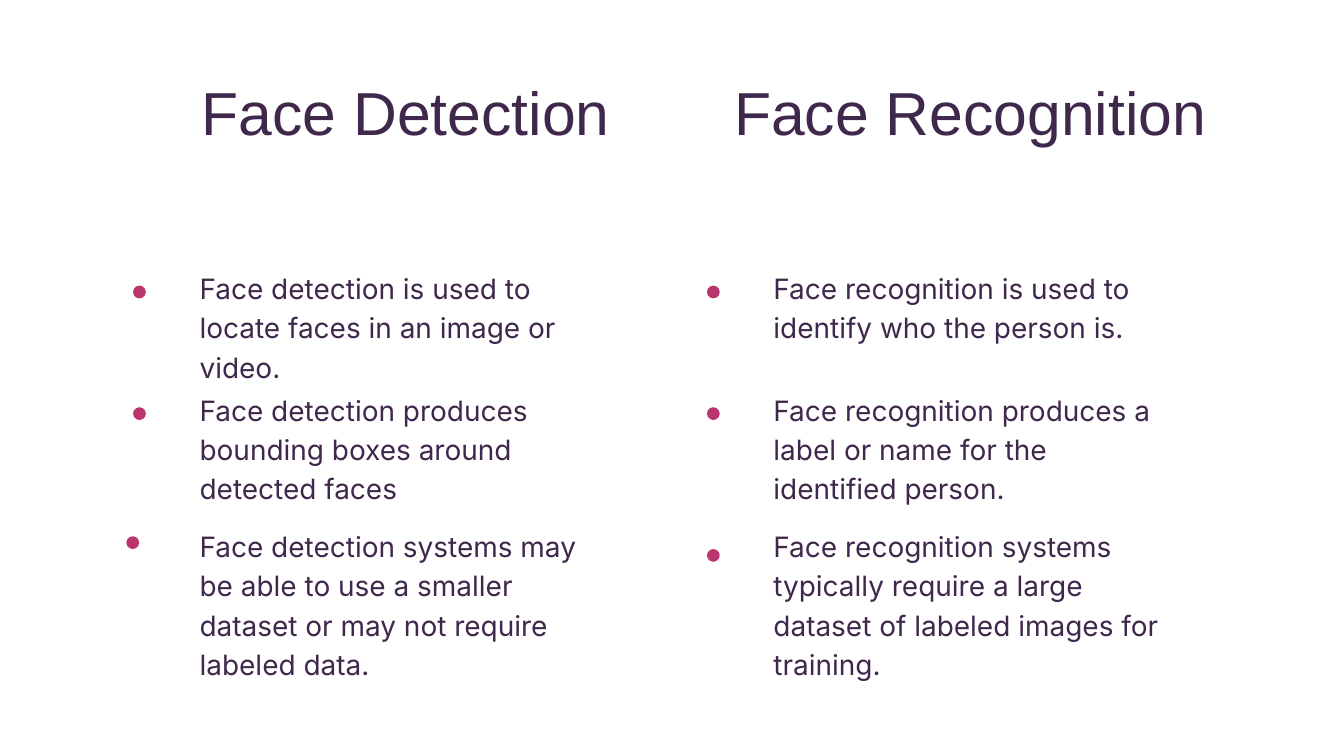
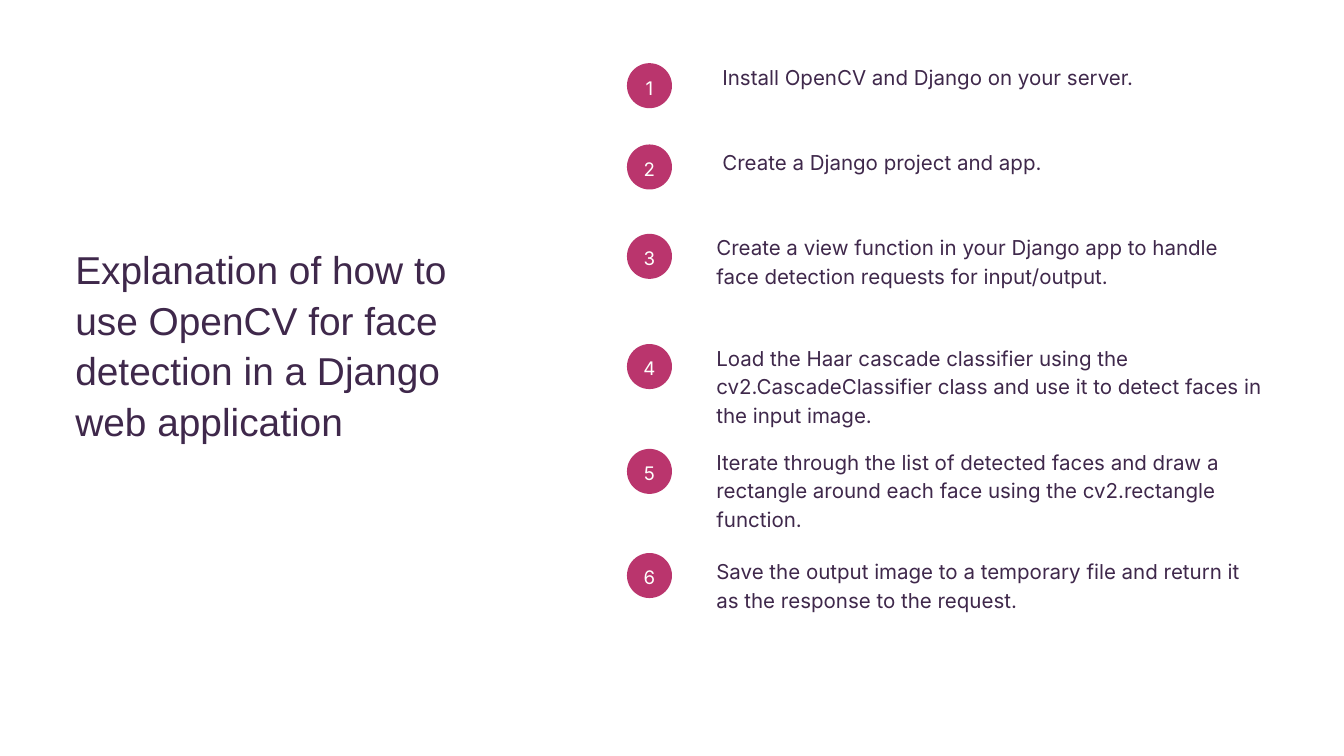
from dataclasses import dataclass

import pptx
import pptx.dml.color
import pptx.enum.shapes
import pptx.enum.text
import pptx.shapes.autoshape
import pptx.slide
import pptx.util

Inches = pptx.util.Inches
Align = pptx.enum.text.PP_ALIGN
Anchor = pptx.enum.text.MSO_ANCHOR
AutoSize = pptx.enum.text.MSO_AUTO_SIZE
Color = pptx.dml.color.RGBColor


@dataclass(frozen=True)
class TextStyle:
    font: str
    size: float
    leading: float
    color: Color
    align: Align = Align.LEFT


@dataclass(frozen=True)
class Theme:
    background: Color = Color(0xFF, 0xFF, 0xFF)
    accent: Color = Color(0xBA, 0x35, 0x6D)
    ink: Color = Color(0x3F, 0x28, 0x4B)
    light: Color = Color(0xFE, 0xFF, 0xFD)
    display: str = "Arial"
    body: str = "Inter"

    @property
    def heading(self) -> TextStyle:
        return TextStyle(self.display, 65, 78, self.ink, Align.CENTER)

    @property
    def side_title(self) -> TextStyle:
        return TextStyle(self.display, 41.6, 54.1, self.ink)

    @property
    def point(self) -> TextStyle:
        return TextStyle(self.body, 30, 42, self.ink)

    @property
    def step(self) -> TextStyle:
        return TextStyle(self.body, 22, 30.8, self.ink)

    @property
    def badge(self) -> TextStyle:
        return TextStyle(self.body, 20, 28, self.light, Align.CENTER)


@dataclass(frozen=True)
class Point:
    text: str
    lines: int
    dot_left: float
    dot_top: float


@dataclass(frozen=True)
class Column:
    heading: str
    heading_left: float
    heading_width: float
    left: float
    points: tuple[Point, ...]


@dataclass(frozen=True)
class Step:
    text: str
    lines: int
    badge_top: float
    top: float
    left: float = 10.66


THEME = Theme()
TITLE_ONLY, COMPARISON = 5, 4
DOT_SIZE, BADGE_SIZE = 0.19, 0.67
POINT_TOPS = (3.96, 5.77, 7.8)

COLUMNS = (
    Column("Face Detection", 2.91, 6.26, 2.97, (
        Point("Face detection is used to locate faces in an image or video.", 3, 1.98, 4.25),
        Point("Face detection produces bounding boxes around detected faces", 3, 1.98, 6.06),
        Point("Face detection systems may be able to use a smaller dataset "
              "or may not require labeled data.", 4, 1.88, 7.98),
    )),
    Column("Face Recognition", 10.83, 7.22, 11.51, (
        Point("Face recognition is used to identify who the person is.", 2, 10.52, 4.25),
        Point("Face recognition produces a label or name for the identified person.",
              3, 10.52, 6.06),
        Point("Face recognition systems typically require a large dataset "
              "of labeled images for training.", 4, 10.52, 8.17),
    )),
)

STEPS = (
    Step("Install OpenCV and Django on your server.", 1, 0.94, 0.9, 10.75),
    Step("Create a Django project and app.", 1, 2.15, 2.17, 10.75),
    Step("Create a view function in your Django app to handle face detection "
         "requests for input/output.", 2, 3.48, 3.44),
    Step("Load the Haar cascade classifier using the cv2.CascadeClassifier class "
         "and use it to detect faces in the input image.", 3, 5.12, 5.08),
    Step("Iterate through the list of detected faces and draw a rectangle around "
         "each face using the cv2.rectangle function.", 3, 6.68, 6.63),
    Step("Save the output image to a temporary file and return it as the response "
         "to the request.", 2, 8.23, 8.26),
)


def write(box: pptx.shapes.autoshape.Shape, text: str, style: TextStyle,
          anchor: Anchor = Anchor.TOP) -> None:
    frame = box.text_frame
    frame.margin_left = frame.margin_right = frame.margin_top = frame.margin_bottom = 0
    frame.word_wrap = True
    frame.vertical_anchor = anchor
    frame.text = text
    para = frame.paragraphs[0]
    para.alignment = style.align
    para.line_spacing = pptx.util.Pt(style.leading)
    para.space_before = pptx.util.Pt(0)
    para.font.name = style.font
    para.font.size = pptx.util.Pt(style.size)
    para.font.bold = False
    para.font.color.rgb = style.color


def place_text(box: pptx.shapes.autoshape.Shape, text: str, style: TextStyle,
               left: float, top: float, width: float, lines: int) -> None:
    """Move a box, make it as tall as its lines, and fill it."""
    box.left, box.top, box.width = Inches(left), Inches(top), Inches(width)
    box.height = Inches(round(lines * style.leading / 72, 2))
    write(box, text, style)
    box.text_frame.auto_size = AutoSize.SHAPE_TO_FIT_TEXT


def add_text(page: pptx.slide.Slide, text: str, style: TextStyle,
             left: float, top: float, width: float, lines: int) -> None:
    box = page.shapes.add_textbox(0, 0, 0, 0)
    place_text(box, text, style, left, top, width, lines)


def add_circle(page: pptx.slide.Slide, left: float, top: float,
               size: float) -> pptx.shapes.autoshape.Shape:
    circle = page.shapes.add_shape(pptx.enum.shapes.MSO_SHAPE.OVAL, Inches(left),
                                   Inches(top), Inches(size), Inches(size))
    circle.shadow.inherit = False
    circle.fill.solid()
    circle.fill.fore_color.rgb = THEME.accent
    circle.line.fill.background()
    return circle


def add_page(deck: pptx.presentation.Presentation, layout: int) -> pptx.slide.Slide:
    page = deck.slides.add_slide(deck.slide_layouts[layout])
    page.background.fill.solid()
    page.background.fill.fore_color.rgb = THEME.background
    return page


def remove_empty_placeholders(page: pptx.slide.Slide) -> None:
    for box in list(page.placeholders):
        if not box.text_frame.text:
            box.element.getparent().remove(box.element)


def build_comparison(deck: pptx.presentation.Presentation) -> None:
    page = add_page(deck, COMPARISON)
    headings = (page.shapes.title, page.placeholders[1])
    for column, heading in zip(COLUMNS, headings):
        place_text(heading, column.heading, THEME.heading,
                   column.heading_left, 1.12, column.heading_width, 2)
        for point, top in zip(column.points, POINT_TOPS):
            add_circle(page, point.dot_left, point.dot_top, DOT_SIZE)
            add_text(page, point.text, THEME.point, column.left, top, 5.76, point.lines)
    remove_empty_placeholders(page)


def build_steps(deck: pptx.presentation.Presentation) -> None:
    page = add_page(deck, TITLE_ONLY)
    place_text(page.shapes.title,
               "Explanation of how to use OpenCV for face detection in a Django web application",
               THEME.side_title, 1.12, 3.6, 6.2, 4)
    for number, step in enumerate(STEPS, start=1):
        badge = add_circle(page, 9.33, step.badge_top, BADGE_SIZE)
        write(badge, str(number), THEME.badge, Anchor.MIDDLE)
        add_text(page, step.text, THEME.step, step.left, step.top, 8.15, step.lines)


def main() -> None:
    deck = pptx.Presentation()
    deck.slide_width, deck.slide_height = Inches(20), Inches(11.25)
    build_comparison(deck)
    build_steps(deck)
    deck.save("out.pptx")


if __name__ == "__main__":
    main()
